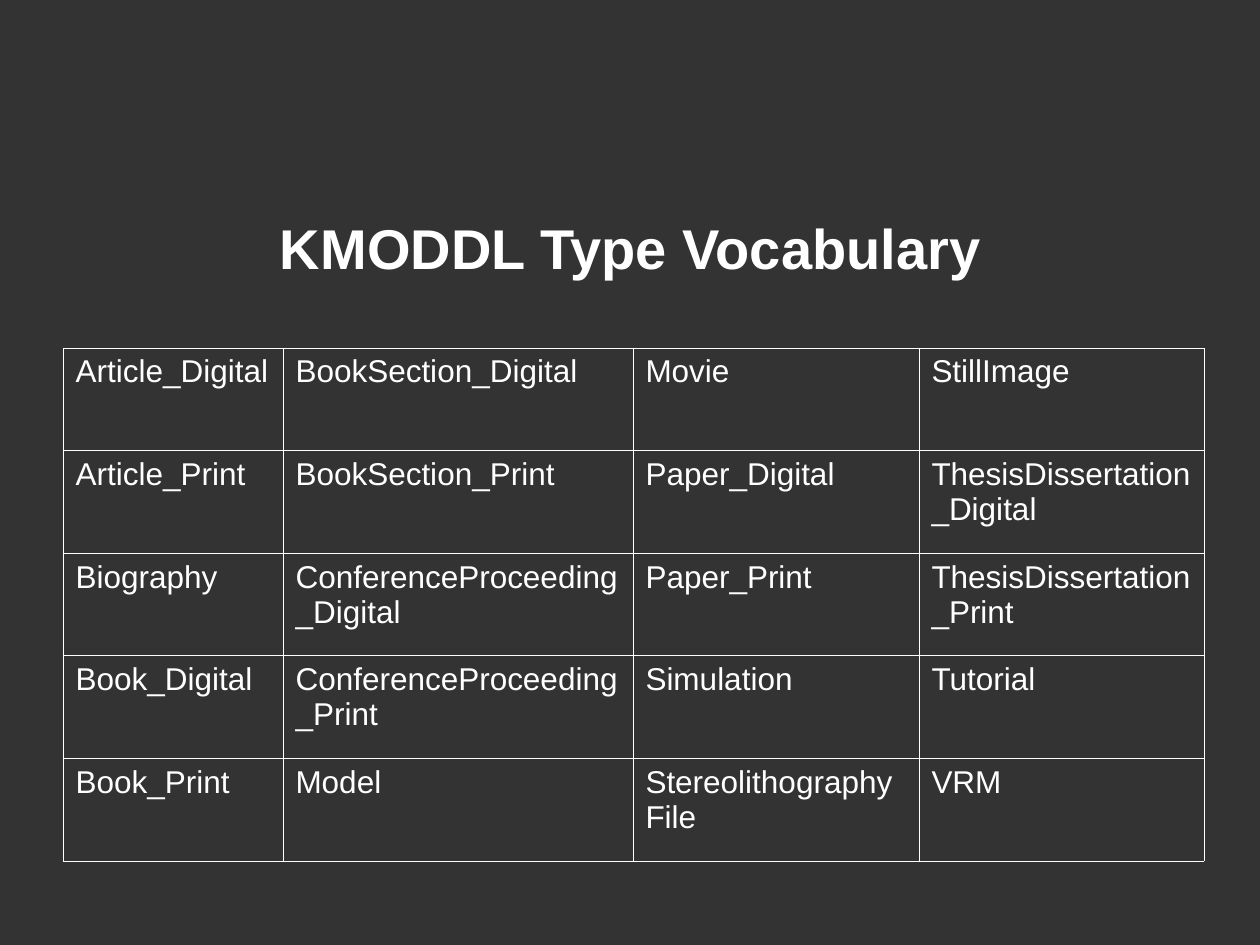
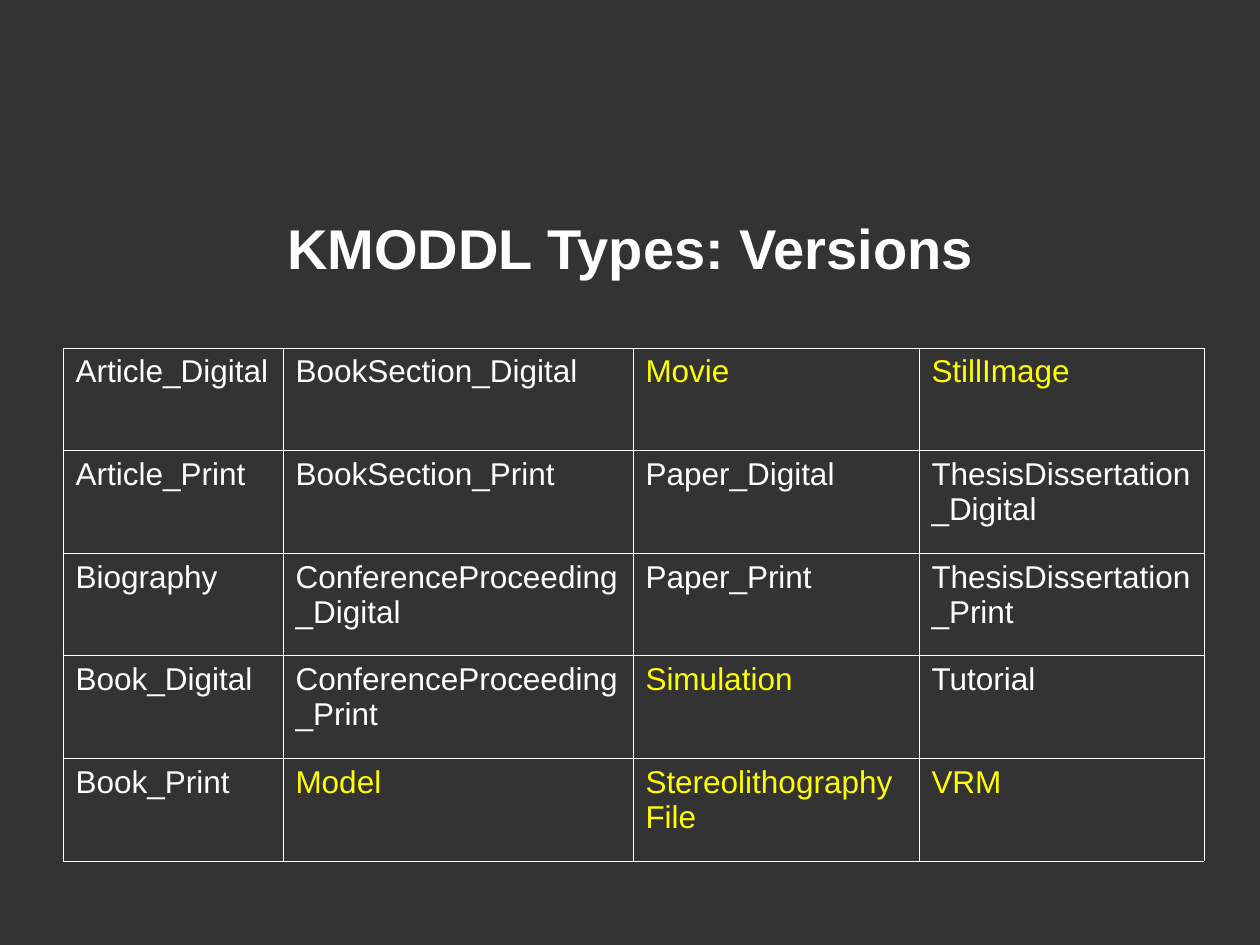
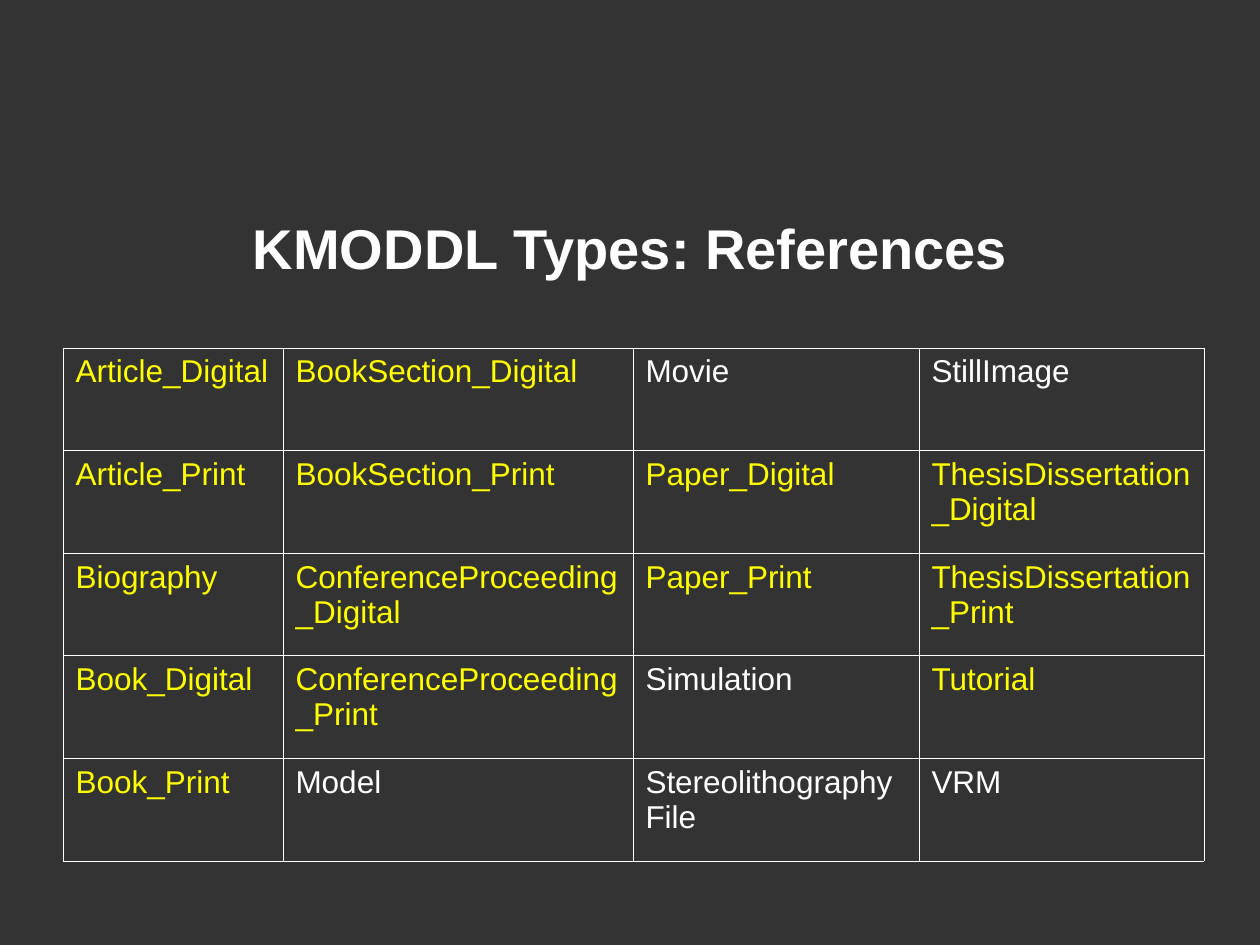
from lxml import etree
from pptx import Presentation
from pptx.dml.color import RGBColor
from pptx.enum.text import MSO_ANCHOR, PP_ALIGN
from pptx.oxml.ns import qn
from pptx.util import Emu, Pt

LEFT, CENTER, JUSTIFY = PP_ALIGN.LEFT, PP_ALIGN.CENTER, PP_ALIGN.JUSTIFY
MIDDLE = MSO_ANCHOR.MIDDLE

CHARCOAL = RGBColor(0x33, 0x33, 0x33)
WHITE = RGBColor(0xFF, 0xFF, 0xFF)
YELLOW = RGBColor(0xFF, 0xFF, 0x00)
FONT = "Arial"

TYPE_ROWS = [
    ("Article_Digital", "BookSection_Digital", "Movie", "StillImage"),
    ("Article_Print", "BookSection_Print", "Paper_Digital", "ThesisDissertation_Digital"),
    ("Biography", "ConferenceProceeding_Digital", "Paper_Print", "ThesisDissertation_Print"),
    ("Book_Digital", "ConferenceProceeding_Print", "Simulation", "Tutorial"),
    ("Book_Print", "Model", "StereolithographyFile", "VRM"),
]
ALL_TYPES = {name for row in TYPE_ROWS for name in row}
VERSIONS = {"Movie", "StillImage", "Simulation", "Model", "StereolithographyFile", "VRM"}
REFERENCES = ALL_TYPES - VERSIONS

# Title and the types highlighted under it
SLIDES = [
    ("KMODDL Type Vocabulary", set()),
    ("KMODDL Types: Versions", VERSIONS),
    ("KMODDL Types: References", REFERENCES),
]

PX_PER_INCH = 126
SLIDE_SIZE = (1260, 945)
TITLE_BOX = (95, 169, 1071, 157)
TABLE_LEFT, TABLE_TOP, TABLE_HEIGHT = 63, 348, 513
COLUMN_WIDTHS = (220, 350, 286, 285)
BORDER_WIDTH = Pt(0.45)


def px(length):
    return Emu(round(length * 914400 / PX_PER_INCH))


def style(paragraph, size, color, align, bold=False):
    paragraph.alignment = align
    font = paragraph.font
    font.name, font.size, font.bold = FONT, Pt(size), bold
    font.color.rgb = color


def add_title(slide, title):
    frame = slide.shapes.add_textbox(*map(px, TITLE_BOX)).text_frame
    frame.word_wrap = True
    frame.vertical_anchor = MIDDLE
    frame.text = title
    style(frame.paragraphs[0], 32, WHITE, CENTER, bold=True)


def outline(cell):
    """Draw a thin white line on all four sides of the cell."""
    properties = cell._tc.get_or_add_tcPr()
    for side in ("a:lnL", "a:lnR", "a:lnT", "a:lnB"):
        line = etree.SubElement(properties, qn(side), w=str(BORDER_WIDTH))
        fill = etree.SubElement(line, qn("a:solidFill"))
        etree.SubElement(fill, qn("a:srgbClr"), val=str(WHITE))


def add_type_table(slide, highlighted):
    table = slide.shapes.add_table(
        len(TYPE_ROWS), len(COLUMN_WIDTHS), px(TABLE_LEFT), px(TABLE_TOP),
        px(sum(COLUMN_WIDTHS)), px(TABLE_HEIGHT)).table
    table.first_row = table.horz_banding = False
    for column, width in zip(table.columns, COLUMN_WIDTHS):
        column.width = px(width)
    for r, names in enumerate(TYPE_ROWS):
        table.rows[r].height = px(TABLE_HEIGHT / len(TYPE_ROWS))
        for c, name in enumerate(names):
            cell = table.cell(r, c)
            outline(cell)
            cell.fill.background()
            cell.text = name
            inner = 0 < r < len(TYPE_ROWS) - 1 and 0 < c < len(names) - 1
            style(cell.text_frame.paragraphs[0], 18,
                  YELLOW if name in highlighted else WHITE,
                  JUSTIFY if inner else LEFT)


def main():
    prs = Presentation()
    prs.slide_width, prs.slide_height = map(px, SLIDE_SIZE)
    background = prs.slide_master.background.fill
    background.solid()
    background.fore_color.rgb = CHARCOAL
    for title, highlighted in SLIDES:
        slide = prs.slides.add_slide(prs.slide_layouts[6])
        add_title(slide, title)
        add_type_table(slide, highlighted)
    prs.save("out.pptx")


if __name__ == "__main__":
    main()
